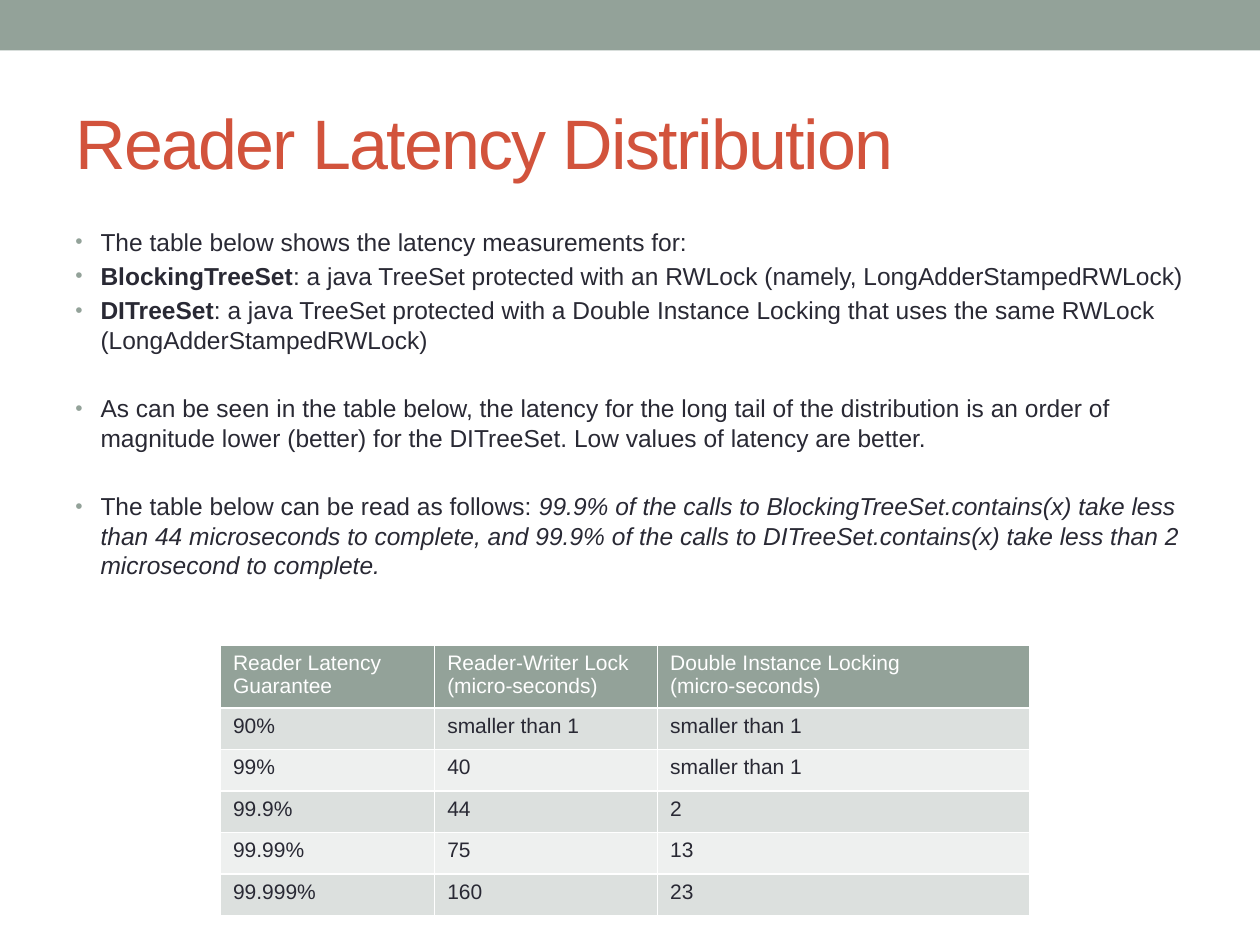
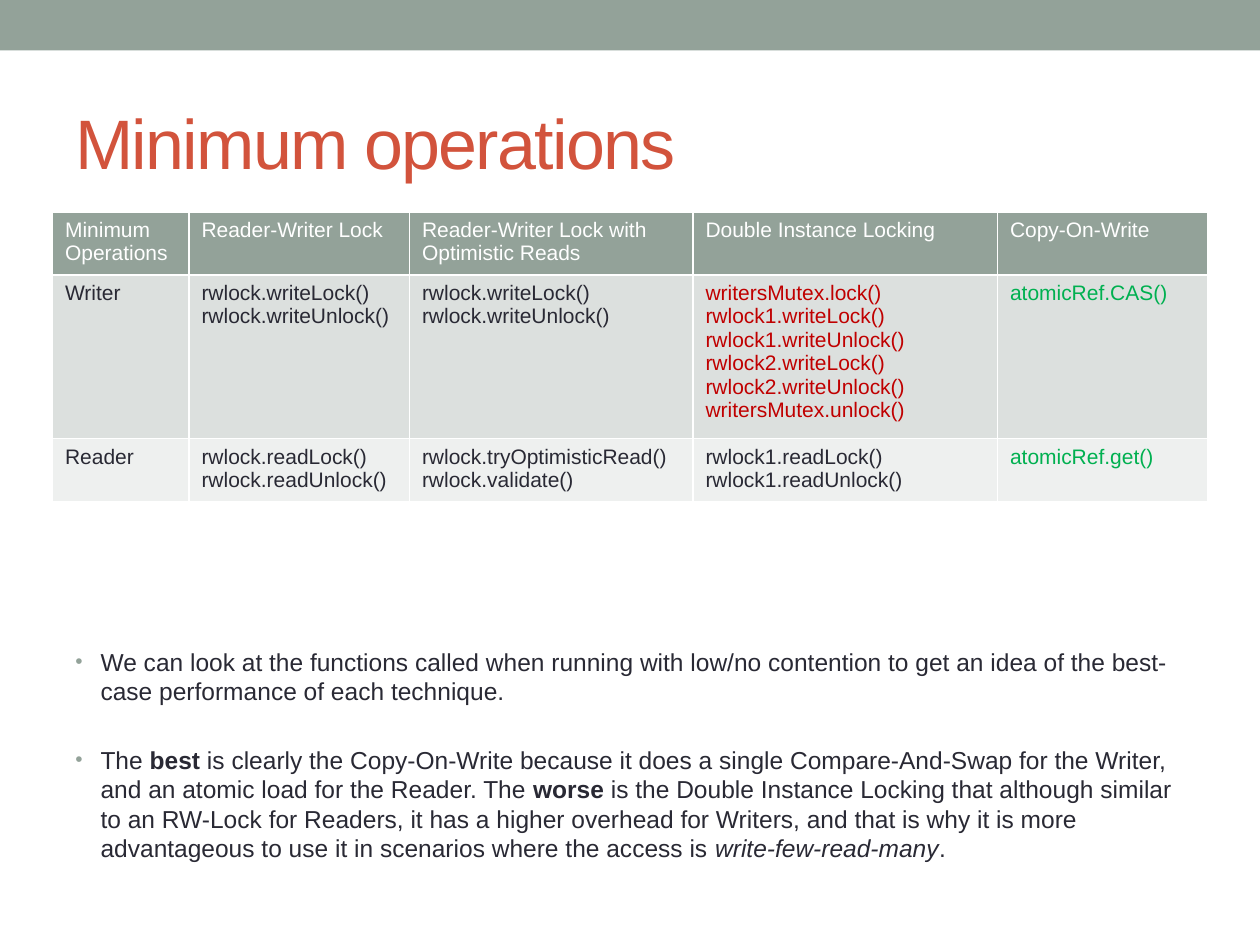
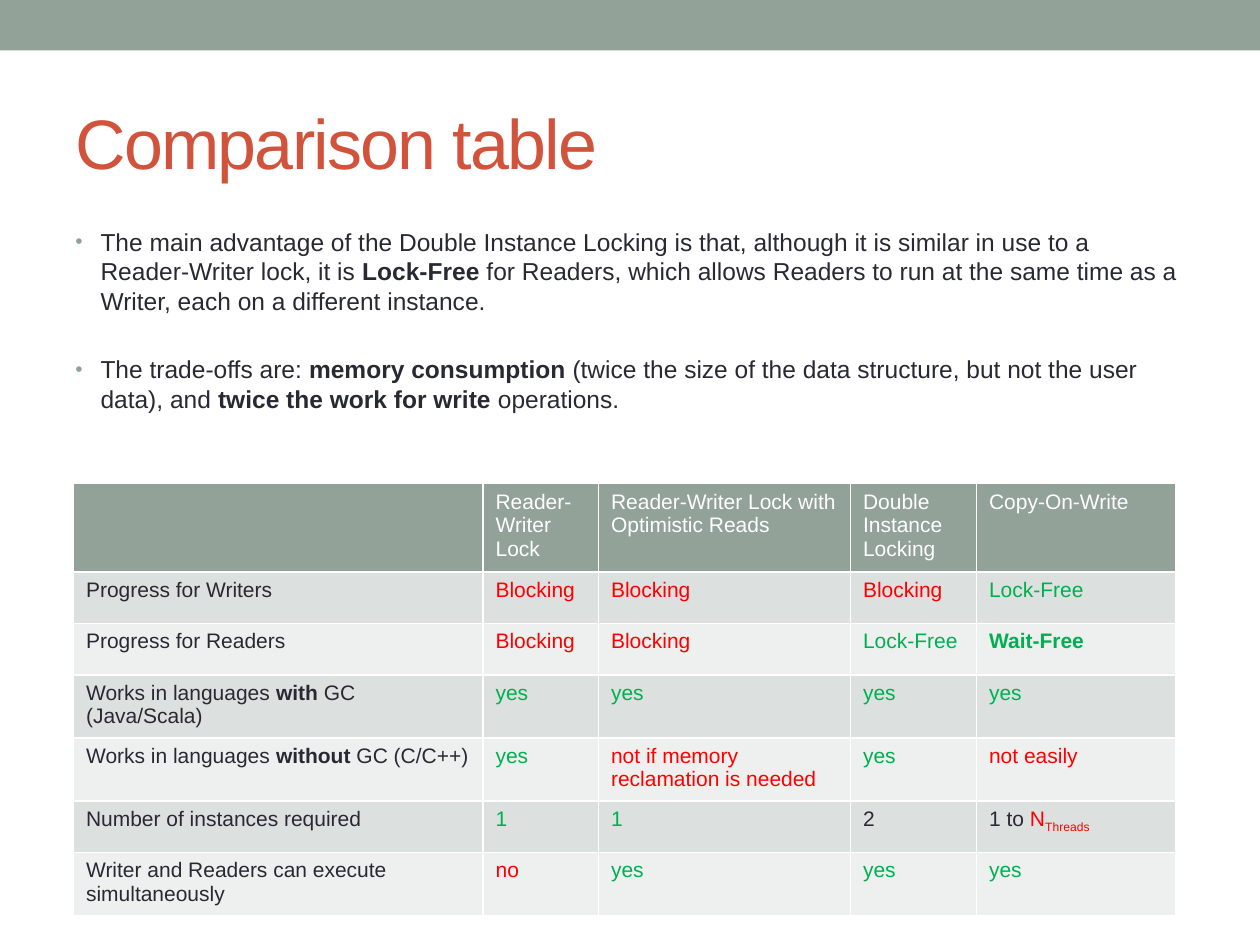
import pptx
import pptx.dml.color
import pptx.enum.shapes
import pptx.enum.text
import pptx.oxml
import pptx.oxml.ns
import pptx.util

FONT = "Arial"
SAGE, BRICK, INK, WHITE = "93A299", "D2533C", "292934", "FFFFFF"
ROW_FILLS = ["DCE0DE", "EEF0EF"]
COLOURS = {"green": "00B050", "red": "FF0000", "dark red": "C00000"}
TITLE_SIZE, BODY_SIZE, TABLE_SIZE = 40, 14, 12
BULLET_SPACE, GROUP_SPACE, BULLET_INDENT = 2.8, 22.4, 14.4

YES = ("yes", "green")
BLOCKING = ("Blocking", "red")
ONE = ("1", "green")
WRITE_LOCK = "rwlock.writeLock()\nrwlock.writeUnlock()"

SLIDES = [
    {
        "title": "Reader Latency Distribution",
        "body_box": (36, 126, 654, 240),
        "bullet_groups": [
            [
                ["The table below shows the latency measurements for:"],
                [("BlockingTreeSet", "bold"),
                 ": a java TreeSet protected with an RWLock (namely, LongAdderStampedRWLock)"],
                [("DITreeSet", "bold"),
                 ": a java TreeSet protected with a Double Instance Locking that uses the same "
                 "RWLock (LongAdderStampedRWLock)"],
            ],
            [
                ["As can be seen in the table below, the latency for the long tail of the "
                 "distribution is an order of magnitude lower (better) for the DITreeSet. "
                 "Low values of latency are better."],
            ],
            [
                ["The table below can be read as follows: ",
                 ("99.9% of the calls to BlockingTreeSet.contains(x) take less than 44 "
                  "microseconds to complete, and 99.9% of the calls to DITreeSet.contains(x) "
                  "take less than 2 microsecond to complete.", "italic")],
            ],
        ],
        "table_corner": (126, 368.6),
        "column_widths": [122.4, 127.4, 212.4],
        "row_heights": [34] + [23.7] * 5,
        "rows": [
            ["Reader Latency Guarantee", "Reader-Writer Lock\n(micro-seconds)",
             "Double Instance Locking\n(micro-seconds)"],
            ["90%", "smaller than 1", "smaller than 1"],
            ["99%", "40", "smaller than 1"],
            ["99.9%", "44", "2"],
            ["99.99%", "75", "13"],
            ["99.999%", "160", "23"],
        ],
    },
    {
        "title": "Minimum operations",
        "body_box": (36, 366, 648, 132),
        "bullet_groups": [
            [
                ["We can look at the functions called when running with low/no contention to "
                 "get an idea of the best-case performance of each technique."],
            ],
            [
                ["The ", ("best", "bold"),
                 " is clearly the Copy-On-Write because it does a single Compare-And-Swap for "
                 "the Writer, and an atomic load for the Reader. The ", ("worse", "bold"),
                 " is the Double Instance Locking that although similar to an RW-Lock for "
                 "Readers, it has a higher overhead for Writers, and that is why it is more "
                 "advantageous to use it in scenarios where the access is ",
                 ("write-few-read-many", "italic"), "."],
            ],
        ],
        "table_corner": (30, 121),
        "column_widths": [78, 126, 162, 174, 120],
        "row_heights": [34, 88, 34],
        "rows": [
            ["Minimum Operations", "Reader-Writer Lock",
             "Reader-Writer Lock with Optimistic Reads",
             "Double Instance Locking", "Copy-On-Write"],
            ["Writer", WRITE_LOCK, WRITE_LOCK,
             ("writersMutex.lock()\nrwlock1.writeLock()\nrwlock1.writeUnlock()\n"
              "rwlock2.writeLock()\nrwlock2.writeUnlock()\nwritersMutex.unlock()", "dark red"),
             ("atomicRef.CAS()", "green")],
            ["Reader", "rwlock.readLock()\nrwlock.readUnlock()",
             "rwlock.tryOptimisticRead()\nrwlock.validate()",
             "rwlock1.readLock()\nrwlock1.readUnlock()", ("atomicRef.get()", "green")],
        ],
    },
    {
        "title": "Comparison table",
        "body_box": (36, 126, 648, 156),
        "bullet_groups": [
            [
                ["The main advantage of the Double Instance Locking is that, although it is "
                 "similar in use to a Reader-Writer lock, it is ", ("Lock-Free ", "bold"),
                 "for Readers, which allows Readers to run at the same time as a Writer, each "
                 "on a different instance."],
            ],
            [
                ["The trade-offs are: ", ("memory consumption ", "bold"),
                 "(twice the size of the data structure, but not the user data), and ",
                 ("twice the work for write ", "bold"), "operations."],
            ],
        ],
        "table_corner": (42, 276.4),
        "column_widths": [234, 66, 144, 72, 114],
        "row_heights": [47, 29.4, 29.4, 34, 34, 29.4, 34],
        "rows": [
            ["", "Reader-Writer Lock", "Reader-Writer Lock with Optimistic Reads",
             "Double Instance Locking", "Copy-On-Write"],
            ["Progress for Writers", BLOCKING, BLOCKING, BLOCKING, ("Lock-Free", "green")],
            ["Progress for Readers", BLOCKING, BLOCKING, ("Lock-Free", "green"),
             ("Wait-Free", "green", "bold")],
            [["Works in languages ", ("with", "bold"), " GC (Java/Scala)"], YES, YES, YES, YES],
            [["Works in languages ", ("without", "bold"), " GC (C/C++)"], YES,
             ("not if memory reclamation is needed", "red"), YES, ("not easily", "red")],
            ["Number of instances required", ONE, ONE, "2",
             ["1 to ", ("N", "red"), ("Threads", "red", "sub")]],
            ["Writer and Readers can execute simultaneously", ("no", "red"), YES, YES, YES],
        ],
    },
]


def rgb(colour):
    return pptx.dml.color.RGBColor.from_string(colour)


def points(*lengths):
    return [pptx.util.Pt(length) for length in lengths]


def add_xml(parent, tag, content="", **attributes):
    listed = "".join(f' {key}="{value}"' for key, value in attributes.items())
    namespace = pptx.oxml.ns.nsdecls("a")
    parent.append(pptx.oxml.parse_xml(f"<a:{tag} {namespace}{listed}>{content}</a:{tag}>"))


def style_font(font, styles):
    for style in styles:
        if style == "bold":
            font.bold = True
        elif style == "italic":
            font.italic = True
        elif style in COLOURS:
            font.color.rgb = rgb(COLOURS[style])


def start_paragraph(paragraph, size, colour):
    paragraph.font.name = FONT
    paragraph.font.size = pptx.util.Pt(size)
    paragraph.font.color.rgb = rgb(colour)


def add_run(paragraph, text, styles=()):
    run = paragraph.add_run()
    run.text = text
    style_font(run.font, styles)
    if "sub" in styles:
        run._r.get_or_add_rPr().set("baseline", "-25000")
    return run


def write_runs(paragraph, runs):
    for part in runs:
        text, *styles = [part] if isinstance(part, str) else part
        add_run(paragraph, text, styles)


def write_cell(frame, content, colour):
    if isinstance(content, list):
        start_paragraph(frame.paragraphs[0], TABLE_SIZE, colour)
        write_runs(frame.paragraphs[0], content)
        return
    text, *styles = [content] if isinstance(content, str) else content
    for index, line in enumerate(text.split("\n")):
        paragraph = frame.add_paragraph() if index else frame.paragraphs[0]
        start_paragraph(paragraph, TABLE_SIZE, colour)
        style_font(paragraph.font, styles)
        if line:
            add_run(paragraph, line)


def add_text_box(slide, box):
    frame = slide.shapes.add_textbox(*points(*box)).text_frame
    frame.word_wrap = True
    return frame


def add_band(slide):
    band = slide.shapes.add_shape(
        pptx.enum.shapes.MSO_SHAPE.RECTANGLE, *points(0, 0, 720, 28.8))
    band.shadow.inherit = False
    band.fill.solid()
    band.fill.fore_color.rgb = rgb(SAGE)
    band.line.fill.background()


def add_title(slide, title):
    frame = add_text_box(slide, (36, 42, 648, 78))
    frame.vertical_anchor = pptx.enum.text.MSO_ANCHOR.MIDDLE
    start_paragraph(frame.paragraphs[0], TITLE_SIZE, BRICK)
    run = add_run(frame.paragraphs[0], title)
    run._r.get_or_add_rPr().set("spc", "-100")


def add_bullets(slide, box, groups):
    frame = add_text_box(slide, box)
    indent = pptx.util.Pt(BULLET_INDENT)
    paragraph = frame.paragraphs[0]
    for group_index, group in enumerate(groups):
        for index, runs in enumerate(group):
            if group_index or index:
                paragraph = frame.add_paragraph()
            opens_group = group_index and not index
            paragraph.space_before = pptx.util.Pt(GROUP_SPACE if opens_group else BULLET_SPACE)
            properties = paragraph._p.get_or_add_pPr()
            properties.set("marL", str(indent))
            properties.set("indent", str(-indent))
            add_xml(properties, "buClr", f'<a:srgbClr val="{SAGE}"/>')
            add_xml(properties, "buSzPct", val=85000)
            add_xml(properties, "buFont", typeface=FONT)
            add_xml(properties, "buChar", char="•")
            start_paragraph(paragraph, BODY_SIZE, INK)
            write_runs(paragraph, runs)


def add_grid(slide, corner, widths, heights, rows):
    table = slide.shapes.add_table(
        len(rows), len(widths), *points(*corner, sum(widths), sum(heights))).table
    table.first_row = table.horz_banding = False
    for column, width in zip(table.columns, widths):
        column.width = pptx.util.Pt(width)
    for row, height in zip(table.rows, heights):
        row.height = pptx.util.Pt(height)
    border = f'<a:solidFill><a:srgbClr val="{WHITE}"/></a:solidFill>'
    for row_index, row in enumerate(rows):
        fill = ROW_FILLS[(row_index - 1) % 2] if row_index else SAGE
        for column_index, content in enumerate(row):
            cell = table.cell(row_index, column_index)
            for side in ("lnL", "lnR", "lnT", "lnB"):
                add_xml(cell._tc.get_or_add_tcPr(), side, border, w=pptx.util.Pt(1))
            cell.fill.solid()
            cell.fill.fore_color.rgb = rgb(fill)
            write_cell(cell.text_frame, content, INK if row_index else WHITE)


def main():
    deck = pptx.Presentation()
    deck.slide_width, deck.slide_height = points(720, 540)
    for content in SLIDES:
        slide = deck.slides.add_slide(deck.slide_layouts[6])
        add_band(slide)
        add_title(slide, content["title"])
        add_bullets(slide, content["body_box"], content["bullet_groups"])
        add_grid(slide, content["table_corner"], content["column_widths"],
                 content["row_heights"], content["rows"])
    deck.save("out.pptx")


if __name__ == "__main__":
    main()
